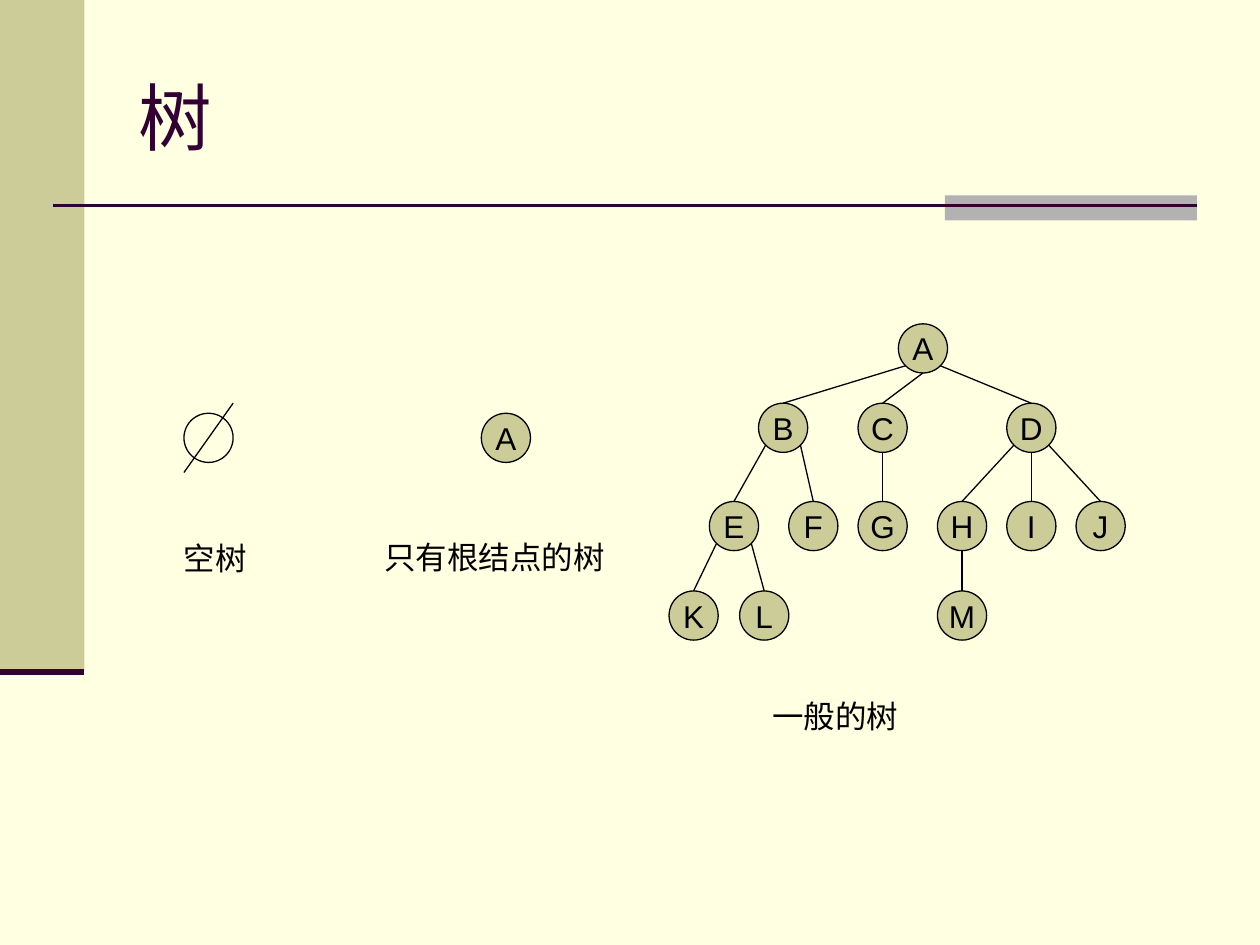
from dataclasses import dataclass

from lxml.etree import SubElement
from pptx import Presentation
from pptx.dml.color import RGBColor
from pptx.enum.shapes import MSO_CONNECTOR as Link, MSO_SHAPE as Preset
from pptx.enum.text import MSO_ANCHOR as Anchor, MSO_AUTO_SIZE as Fit, PP_ALIGN as Align
from pptx.oxml.ns import qn
from pptx.util import Inches, Pt

TITLE = "树"
CAPTIONS = [
    ("空树", 1.36, 4.23, 0.7),
    ("只有根结点的树", 2.95, 4.22, 1.95),
    ("一般的树", 6.03, 5.48, 1.2),
]
LEVEL_TOPS = [2.57, 3.2, 3.98, 4.69]
LEVELS = [
    {"A": 7.13},
    {"B": 6.02, "C": 6.81, "D": 7.99},
    {"E": 5.63, "F": 6.26, "G": 6.81, "H": 7.44, "I": 7.99, "J": 8.54},
    {"K": 5.31, "L": 5.87, "M": 7.44},
]
CHILDREN = {"A": "BCD", "B": "EF", "C": "G", "D": "HIJ", "E": "KL", "H": "M"}
NODE_SIZE = 0.39
DIAGONAL = 0.5 ** 0.5


@dataclass(frozen=True)
class Theme:
    paper: str = "FFFFE1"
    olive: str = "CCCC99"
    gray: str = "B2B2B2"
    plum: str = "330033"
    ink: str = "000000"
    title_font: str = "Times New Roman"
    body_font: str = "Arial"
    title_size: float = 42
    body_size: float = 18
    thin: float = 0.74
    rule: float = 1.5
    thick: float = 3.5


theme = Theme()
deck = Presentation()
deck.slide_width, deck.slide_height = Inches(10), Inches(7.5)
page = deck.slides.add_slide(deck.slide_layouts[6])
page.background.fill.solid()
page.background.fill.fore_color.rgb = RGBColor.from_string(theme.paper)


def write(shape, text, size=theme.body_size, font=theme.body_font, color=theme.ink,
          align=Align.LEFT, anchor=Anchor.TOP, wrap=False, fit=Fit.NONE):
    frame = shape.text_frame
    frame.word_wrap, frame.auto_size, frame.vertical_anchor = wrap, fit, anchor
    para = frame.paragraphs[0]
    para.alignment = align
    span = para.add_run()
    span.text = text
    span.font.name, span.font.size = font, Pt(size)
    span.font.color.rgb = RGBColor.from_string(color)


def add_text(text, left, top, width, height, **style):
    box = page.shapes.add_textbox(Inches(left), Inches(top), Inches(width), Inches(height))
    write(box, text, **style)


def add_block(preset, left, top, width, height, fill=None, line=None):
    shape = page.shapes.add_shape(preset, Inches(left), Inches(top), Inches(width), Inches(height))
    shape.shadow.inherit = False
    if fill:
        shape.fill.solid()
        shape.fill.fore_color.rgb = RGBColor.from_string(fill)
    else:
        shape.fill.background()
    if line:
        shape.line.color.rgb = RGBColor.from_string(line)
        shape.line.width = Pt(theme.thin)
    else:
        shape.line.fill.background()
    return shape


def add_line(start, end, color=theme.ink, width=theme.thin):
    points = [Inches(value) for value in (*start, *end)]
    line = page.shapes.add_connector(Link.STRAIGHT, *points)
    line.line.color.rgb = RGBColor.from_string(color)
    line.line.width = Pt(width)
    SubElement(line._element.spPr, qn("a:effectLst"))


def add_node(label, left, top):
    node = add_block(Preset.OVAL, left, top, NODE_SIZE, NODE_SIZE, theme.olive, theme.ink)
    write(node, label, align=Align.CENTER, anchor=Anchor.MIDDLE)


def add_edge(parent, child):
    radius = NODE_SIZE / 2
    (parent_x, parent_y), (child_x, child_y) = [
        (left + radius, top + radius) for left, top in (places[parent], places[child])]
    shift = child_x - parent_x
    if shift == 0 or len(CHILDREN[parent]) == 3 and child == CHILDREN[parent][1]:
        start = (parent_x, parent_y + radius)
    else:
        side = 1 if shift > 0 else -1
        start = (parent_x + side * radius * DIAGONAL, parent_y + radius * DIAGONAL)
    add_line(start, (child_x, child_y - radius))


add_block(Preset.RECTANGLE, 0, 0, 0.67, 5.33, theme.olive)
add_block(Preset.RECTANGLE, 7.5, 1.55, 2, 0.2, theme.gray)
add_line((0.42, 1.63), (9.5, 1.63), theme.plum, theme.rule)
add_line((0, 5.33), (0.67, 5.33), theme.plum, theme.thick)
add_text(TITLE, 1, 0.3, 8.5, 1.25, size=theme.title_size, font=theme.title_font,
         color=theme.plum, anchor=Anchor.MIDDLE, wrap=True)

add_block(Preset.OVAL, 1.46, 3.28, NODE_SIZE, NODE_SIZE, line=theme.ink)
add_line((1.85, 3.2), (1.46, 3.75))
add_node("A", 3.82, 3.28)

places = {label: (left, top) for top, level in zip(LEVEL_TOPS, LEVELS)
          for label, left in level.items()}
for label, place in places.items():
    add_node(label, *place)
for parent, children in CHILDREN.items():
    for child in children:
        add_edge(parent, child)

for caption, left, top, width in CAPTIONS:
    add_text(caption, left, top, width, 0.4, fit=Fit.SHAPE_TO_FIT_TEXT)

deck.save("out.pptx")
